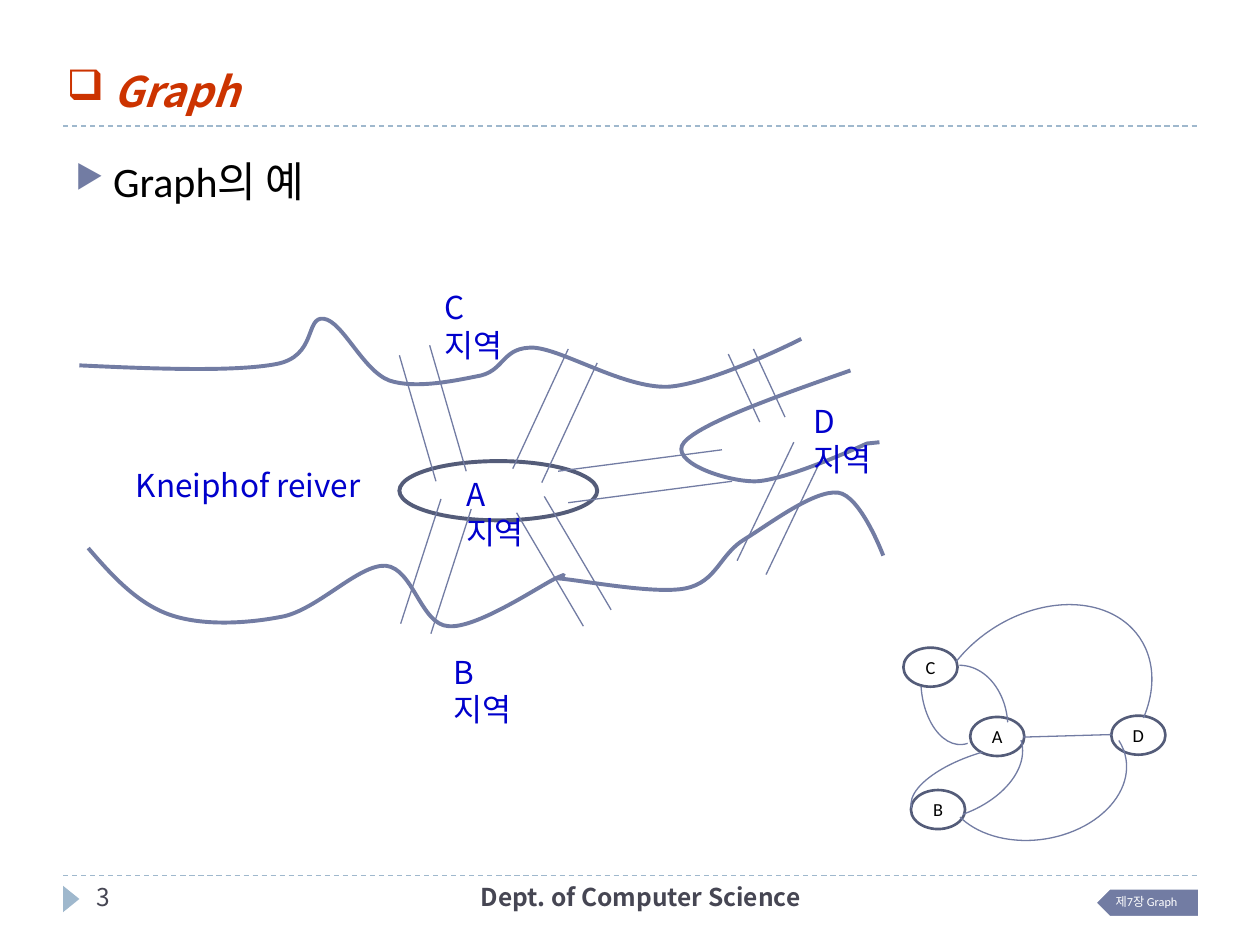
"""Build the graph slide: a river with seven bridges and the graph drawn from it."""
import pptx
import pptx.dml.color
import pptx.enum.dml
import pptx.enum.shapes
import pptx.enum.text
import pptx.oxml
import pptx.oxml.ns
import pptx.util

COLS, ROWS = 100, 75
COL, ROW = pptx.util.Inches(10) // COLS, pptx.util.Inches(7.5) // ROWS
SHAPE = pptx.enum.shapes.MSO_SHAPE
ALIGN = pptx.enum.text.PP_ALIGN
ANCHOR = pptx.enum.text.MSO_ANCHOR
LATIN, KOREAN = "Calibri", "Noto Sans CJK KR"
COLORS = {
    "rule": "9FB8CD", "accent": "727CA3", "outline": "545C79", "footer": "464653",
    "title": "CC3300", "label": "0000CC", "black": "000000", "white": "FFFFFF",
}

UPPER_BANK = [
    (6.3, 29), (12.5, 29.3), (18.7, 29.5), (21.9, 28.9), (25.2, 28.3), (24.2, 25.1),
    (25.7, 25.3), (27.2, 25.5), (28.8, 29.4), (30.9, 30.2), (33, 30.9), (36.2, 30.2),
    (38.2, 29.8), (40.1, 29.3), (39.9, 27.5), (42.4, 27.6), (44.8, 27.8), (49.5, 30.8),
    (53, 30.7), (56.5, 30.5), (63.6, 26.9), (63.6, 26.9),
]
LOWER_BANK = [
    (7, 43.5), (8.9, 45.7), (10.9, 47.9), (13.5, 48.8), (16.1, 49.7), (19.7, 49.5),
    (22.6, 48.9), (25.4, 48.2), (28.5, 44.8), (30.6, 44.9), (32.8, 45.1), (33.4, 49.6),
    (35.6, 49.7), (37.8, 49.9), (42.7, 46.6), (44.1, 45.9), (45.5, 45.3), (44.2, 45.9),
    (44.2, 45.9), (45.9, 46), (51.9, 47.2), (54.4, 46.7), (56.9, 46.2), (57.1, 44),
    (59.1, 42.8), (61.2, 41.5), (64.6, 38.9), (66.5, 39.1), (68.3, 39.3), (70.1, 44.1),
    (70.1, 44.1),
]
EAST_BANK = [
    (67.5, 29.4), (61.5, 31.5), (55.6, 33.6), (54.3, 35.1), (53, 36.6), (57.5, 38.2),
    (59.9, 38.2), (62.3, 38.2), (68.8, 35.2), (68.8, 35.2), (68.8, 35.2), (69.8, 35.1),
    (69.8, 35.1),
]
BRIDGES = [
    ((45.1, 27.7), (40.7, 37.2), (2.3, 1.1)),
    ((31.7, 28.2), (34.6, 38.2), (2.4, -0.8)),
    ((35, 39.6), (31.8, 49.5), (2.4, 0.8)),
    ((41, 40.7), (46.3, 49.7), (2.2, -1.3)),
    ((44.3, 37.4), (57.3, 35.7), (0.8, 2.5)),
    ((57.8, 28.1), (60.3, 33.5), (2, -0.4)),
    ((63, 35.1), (58.5, 44.5), (2.3, 1.1)),
]
REGIONS = {"A": (36, 37.2), "B": (35, 51.3), "C": (34.3, 22.4), "D": (63.6, 31.4)}
NODES = {"C": (71.7, 51.4), "A": (77, 56.9), "D": (88.2, 56.8), "B": (72.3, 62.7)}
EDGES = [
    ((72.3, 52.8, 7.7, 9.9), 0, (162, 212.2)),
    ((73.1, 49.6, 5.8, 9.5), 175.9, (158.6, 0.84)),
    ((73.1, 48.8, 19, 14.3), 325.9, (144.55, 24.8)),
    ((70.6, 54.2, 8.4, 13.1), 72.2, (162, 213.13)),
    ((76.9, 54.1, 10.5, 14.6), 81, (154.43, 41.34)),
    ((76.2, 55.4, 5.6, 13.8), 254.7, (162, 212.2)),
]


def rgb(name):
    """Return the named colour."""
    return pptx.dml.color.RGBColor.from_string(COLORS[name])


def cell(x, y):
    """Turn grid columns and rows into slide lengths."""
    return round(x * COL), round(y * ROW)


def paint(sp, fill=None, line=None, width=0.75):
    """Give a shape its fill and outline without a shadow."""
    sp.shadow.inherit = False
    if fill:
        sp.fill.solid()
        sp.fill.fore_color.rgb = rgb(fill)
    else:
        sp.fill.background()
    if line:
        sp.line.color.rgb = rgb(line)
        sp.line.width = pptx.util.Pt(width)
    else:
        sp.line.fill.background()


def add_preset(s, kind, box, rotation=0, **style):
    """Add a painted preset shape."""
    sp = s.shapes.add_shape(kind, *cell(*box[:2]), *cell(*box[2:]))
    sp.rotation = rotation
    paint(sp, **style)
    return sp


def add_line(s, start, end, color="accent", dashed=False):
    """Add a thin straight line."""
    c = s.shapes.add_connector(
        pptx.enum.shapes.MSO_CONNECTOR.STRAIGHT, *cell(*start), *cell(*end))
    c.line.color.rgb = rgb(color)
    c.line.width = pptx.util.Pt(0.75)
    if dashed:
        c.line.dash_style = pptx.enum.dml.MSO_LINE.DASH
    c._element.spPr.append(pptx.oxml.parse_xml(
        f'<a:effectLst {pptx.oxml.ns.nsdecls("a")}/>'))


def add_curve(s, points):
    """Add an open curve of cubic segments, three points to each."""
    builder = s.shapes.build_freeform(*cell(*points[0]))
    builder.add_line_segments([cell(*pt) for pt in points[1:]], close=False)
    sp = builder.convert_to_shape()
    steps = list(sp._element.iter(pptx.oxml.ns.qn("a:lnTo")))
    for i in range(0, len(steps), 3):
        curve = pptx.oxml.parse_xml(f'<a:cubicBezTo {pptx.oxml.ns.nsdecls("a")}/>')
        steps[i].addprevious(curve)
        for step in steps[i:i + 3]:
            curve.append(step[0])
            step.getparent().remove(step)
    paint(sp, line="accent", width=2.25)


def set_text(sp, text, size, color, font=KOREAN, align=ALIGN.LEFT, bold=None, italic=None):
    """Write one formatted paragraph and return it."""
    tf = sp.text_frame
    tf.text = text
    p = tf.paragraphs[0]
    p.alignment = align
    f = p.runs[0].font
    f.name, f.size, f.bold, f.italic = font, pptx.util.Pt(size), bold, italic
    f.color.rgb = rgb(color)
    return p


def add_text(s, box, text, size, color, **style):
    """Add a wrapping text box and return its frame and paragraph."""
    sp = s.shapes.add_textbox(*cell(*box[:2]), *cell(*box[2:]))
    sp.text_frame.word_wrap = True
    return sp.text_frame, set_text(sp, text, size, color, **style)


def add_bullet(p, char, color, percent=100):
    """Give a paragraph a coloured bullet."""
    ns = pptx.oxml.ns.nsdecls("a")
    pPr = p._p.get_or_add_pPr()
    for xml in (f'<a:buClr {ns}><a:srgbClr val="{COLORS[color]}"/></a:buClr>',
                f'<a:buSzPct {ns} val="{percent * 1000}"/>',
                f'<a:buChar {ns} char="{char}"/>'):
        pPr.append(pptx.oxml.parse_xml(xml))


def add_frame(s):
    """Add the rules, the footer and the chapter tag."""
    for y in (69.5, 10):
        add_line(s, (5, y), (95, y), "rule", dashed=True)
    add_preset(s, SHAPE.ISOSCELES_TRIANGLE, (4.6, 70.7, 2.1, 1.3), 90, fill="rule")
    add_preset(s, SHAPE.PENTAGON, (86.9, 70.5, 8.3, 2.3), 180,
               fill="accent", line="white", width=1.5)
    tf, p = add_text(s, (86.9, 70.5, 7.7, 2.3), "제7장 Graph", 7, "white",
                     font=LATIN, align=ALIGN.CENTER)
    tf.vertical_anchor = ANCHOR.MIDDLE
    tf.margin_right = pptx.util.Inches(0.05)
    tf.margin_top = tf.margin_bottom = pptx.util.Inches(0.03)
    p.line_spacing = 0.9
    add_text(s, (31.7, 69.5, 38.3, 4), "Dept. of Computer Science", 14, "footer",
             align=ALIGN.CENTER, bold=True)
    add_text(s, (6.7, 69.5, 21.7, 4), "3", 14, "footer")


def add_headings(s):
    """Add the title and the bulleted heading."""
    p = add_text(s, (5, 12.3, 90, 55), "Graph의 예", 24, "black", font=LATIN)[1]
    add_bullet(p, "▶", "accent", 76)
    p.line_spacing = 0.9
    indent = pptx.util.Inches(0.3)
    p._p.pPr.set("marL", str(indent))
    p._p.pPr.set("indent", str(-indent))
    tf, p = add_text(s, (4.3, 5.2, 90, 4.6), " Graph", 24, "title", bold=True, italic=True)
    tf.margin_top = 0
    add_bullet(p, "❑", "title")


def add_river(s):
    """Add the banks, the island, the bridges and the region names."""
    add_curve(s, UPPER_BANK)
    add_curve(s, LOWER_BANK)
    add_preset(s, SHAPE.OVAL, (31.7, 36.6, 15.7, 4.7),
               fill="white", line="outline", width=2.25)
    add_curve(s, EAST_BANK)
    for start, end, (dx, dy) in BRIDGES:
        add_line(s, start, end)
        add_line(s, (start[0] + dx, start[1] + dy), (end[0] + dx, end[1] + dy))
    for name, corner in REGIONS.items():
        add_text(s, (*corner, 7.2, 3.4), f"{name}지역", 18, "label")
    add_text(s, (9.8, 36.5, 21, 4), "Kneiphof reiver", 18, "label")


def add_graph(s):
    """Add the nodes and the edges of the graph."""
    for name, corner in NODES.items():
        sp = add_preset(s, SHAPE.OVAL, (*corner, 4.3, 3.1),
                        fill="white", line="outline", width=1.5)
        tf = sp.text_frame
        tf.margin_left = tf.margin_right = 0
        tf.vertical_anchor = ANCHOR.MIDDLE
        set_text(sp, name, 10.5, "black", font=LATIN, align=ALIGN.CENTER)
    for box, rotation, angles in EDGES:
        sp = add_preset(s, SHAPE.ARC, box, rotation, line="accent")
        sp.adjustments[0], sp.adjustments[1] = angles
    add_line(s, (81.2, 58.5), (88.2, 58.3))


def main():
    """Build and save the slide."""
    prs = pptx.Presentation()
    prs.slide_width, prs.slide_height = COLS * COL, ROWS * ROW
    s = prs.slides.add_slide(prs.slide_layouts[6])
    add_frame(s)
    add_headings(s)
    add_river(s)
    add_graph(s)
    prs.save("out.pptx")


if __name__ == "__main__":
    main()
